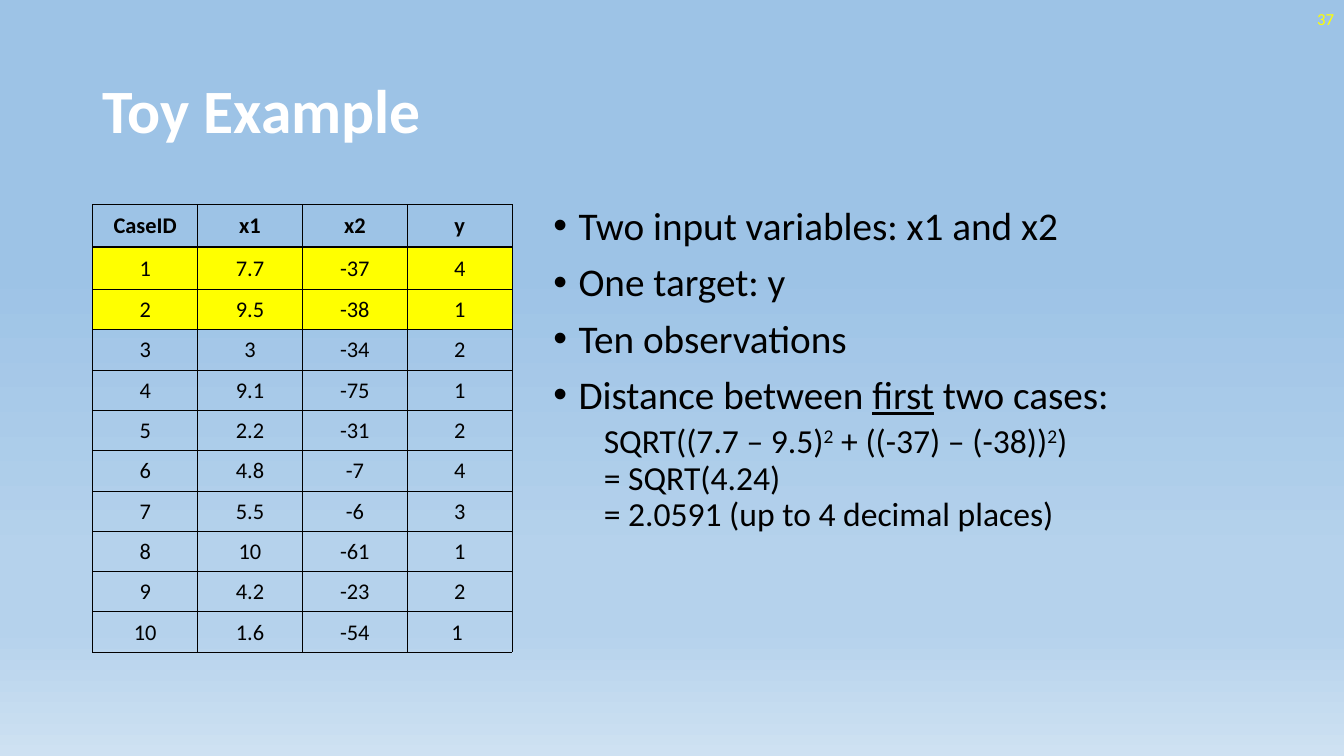
import pptx
import pptx.dml.color
import pptx.enum.text
import pptx.oxml
import pptx.oxml.ns
import pptx.util
from lxml import etree

Inches = pptx.util.Inches
Align = pptx.enum.text.PP_ALIGN
Anchor = pptx.enum.text.MSO_ANCHOR
qn = pptx.oxml.ns.qn

BLACK, WHITE, YELLOW = "000000", "FFFFFF", "FFFF00"
BACKGROUND_STOPS = [(35, "9DC3E6"), (74, "B5D2EC"), (83, "B5D2EC"), (100, "CEE1F2")]

HEADERS = ["CaseID", "x1", "x2", "y"]
CASES = [
    ["1", "7.7", "-37", "4"],
    ["2", "9.5", "-38", "1"],
    ["3", "3", "-34", "2"],
    ["4", "9.1", "-75", "1"],
    ["5", "2.2", "-31", "2"],
    ["6", "4.8", "-7", "4"],
    ["7", "5.5", "-6", "3"],
    ["8", "10", "-61", "1"],
    ["9", "4.2", "-23", "2"],
    ["10", "1.6", "-54", "1 "],
]
HIGHLIGHTED_ROWS = (1, 2)

BULLETS = [
    ["Two input variables: x1 and x2"],
    ["One target: y"],
    ["Ten observations"],
    ["Distance between ", ("first", {"underline": True}), " two cases:"],
]
SQUARED = ("2", {"baseline": 30})
CALCULATION = [
    "SQRT((7.7 – 9.5)", SQUARED, " + ((-37) – (-38))", SQUARED,
    ")\n= SQRT(4.24)\n= 2.0591 (up to 4 decimal places)",
]


def rgb(value):
    """Turn a hex string into a colour."""
    return pptx.dml.color.RGBColor.from_string(value)


def add_run(paragraph, text, size=16, color=BLACK, font="Calibri", bold=False,
            underline=False, baseline=0):
    """Add formatted text to a paragraph, breaking lines at newlines."""
    for index, line in enumerate(text.split("\n")):
        if index:
            paragraph.add_line_break()
        run = paragraph.add_run()
        run.text = line
        run.font.name = font
        run.font.size = pptx.util.Pt(size)
        run.font.bold = bold
        run.font.underline = underline
        run.font.color.rgb = rgb(color)
        if baseline:
            run.font._element.set("baseline", str(baseline * 1000))


class SlideBuilder:
    """Hold the style and the current slide, and add elements to it."""

    def __init__(self, presentation):
        """Start a blank slide."""
        self.slide = presentation.slides.add_slide(presentation.slide_layouts[6])
        self.line_spacing = 0.9
        self.thin, self.thick = 0.5, 2

    def background(self, stops):
        """Fill the background with a vertical gradient."""
        fill = self.slide.background.fill
        fill.gradient()
        fill.gradient_angle = 270
        stop_list = self.slide.element.find(".//" + qn("a:gsLst"))
        for old_stop in list(stop_list):
            stop_list.remove(old_stop)
        for position, color in stops:
            stop = etree.SubElement(stop_list, qn("a:gs"), pos=str(position * 1000))
            etree.SubElement(stop, qn("a:srgbClr"), val=color)

    def text_box(self, left, top, width, height, anchor=Anchor.TOP):
        """Add an empty wrapping text box and return its frame."""
        shape = self.slide.shapes.add_textbox(
            Inches(left), Inches(top), Inches(width), Inches(height))
        frame = shape.text_frame
        frame.word_wrap = True
        frame.vertical_anchor = anchor
        return frame

    def label(self, text, left, top, width, height, align=Align.LEFT, **style):
        """Add one vertically centred line of text."""
        paragraph = self.text_box(left, top, width, height, Anchor.MIDDLE).paragraphs[0]
        paragraph.alignment = align
        paragraph.line_spacing = self.line_spacing
        add_run(paragraph, text, **style)

    def paragraph(self, frame, pieces, margin, indent=0, before=0, level=0,
                  bullet=None, **style):
        """Add an indented paragraph made of plain or formatted pieces."""
        paragraph = frame.paragraphs[0]
        if paragraph.runs:
            paragraph = frame.add_paragraph()
        paragraph.level = level
        paragraph.line_spacing = self.line_spacing
        paragraph.space_before = pptx.util.Pt(before)
        properties = paragraph._p.get_or_add_pPr()
        properties.set("marL", str(Inches(margin)))
        properties.set("indent", str(Inches(indent)))
        if bullet:
            etree.SubElement(properties, qn("a:buFont"), typeface="Arial")
            etree.SubElement(properties, qn("a:buChar"), char=bullet)
        for piece in pieces:
            text, extra = (piece, {}) if isinstance(piece, str) else piece
            add_run(paragraph, text, **{**style, **extra})

    def borders(self, cell, **widths):
        """Draw the four borders of a cell, thin unless a width is given."""
        properties = cell._tc.get_or_add_tcPr()
        for index, side in enumerate("LRTB"):
            width = pptx.util.Pt(widths.get(side, self.thin))
            line = etree.Element(qn("a:ln" + side), w=str(width))
            fill = etree.SubElement(line, qn("a:solidFill"))
            etree.SubElement(fill, qn("a:srgbClr"), val=BLACK)
            properties.insert(index, line)

    def table(self, rows, left, top, column_width, row_heights, highlighted):
        """Add a bordered table with a bold header and highlighted rows."""
        columns = len(rows[0])
        table = self.slide.shapes.add_table(
            len(rows), columns, Inches(left), Inches(top),
            Inches(column_width * columns), Inches(sum(row_heights))).table
        table.first_row = table.horz_banding = False
        for column in table.columns:
            column.width = Inches(column_width)
        for row_index, values in enumerate(rows):
            table.rows[row_index].height = Inches(row_heights[row_index])
            for column_index, value in enumerate(values):
                cell = table.cell(row_index, column_index)
                cell.vertical_anchor = Anchor.MIDDLE
                cell.margin_left = cell.margin_right = cell.margin_top = Inches(0.01)
                cell.margin_bottom = 0
                if row_index in highlighted:
                    cell.fill.solid()
                    cell.fill.fore_color.rgb = rgb(YELLOW)
                else:
                    cell.fill.background()
                header_edge = {0: {"B": self.thick}, 1: {"T": self.thick}}
                self.borders(cell, **header_edge.get(row_index, {}))
                paragraph = cell.text_frame.paragraphs[0]
                paragraph.alignment = Align.CENTER
                add_run(paragraph, value, bold=row_index == 0)


def main():
    """Build and save the slide."""
    presentation = pptx.Presentation()
    presentation.slide_width = Inches(13.33)
    presentation.slide_height = Inches(7.5)
    builder = SlideBuilder(presentation)
    builder.background(BACKGROUND_STOPS)
    builder.label("Toy Example", 0.92, 0.4, 11.5, 1.45, size=44, color=WHITE, bold=True)
    builder.label("37", 10.33, 0, 3, 0.4, Align.RIGHT, size=12, color=YELLOW)
    body = builder.text_box(5.39, 2, 7.03, 4.76)
    for pieces in BULLETS:
        builder.paragraph(body, pieces, 0.25, -0.25, before=10, bullet="•", size=28)
    builder.paragraph(body, CALCULATION, 0.5, before=5, level=1, size=24)
    row_heights = [0.42] * 2 + [0.4] * (len(CASES) - 1)
    builder.table([HEADERS] + CASES, 0.92, 2.03, 1.04, row_heights, HIGHLIGHTED_ROWS)
    presentation.save("out.pptx")


if __name__ == "__main__":
    main()
